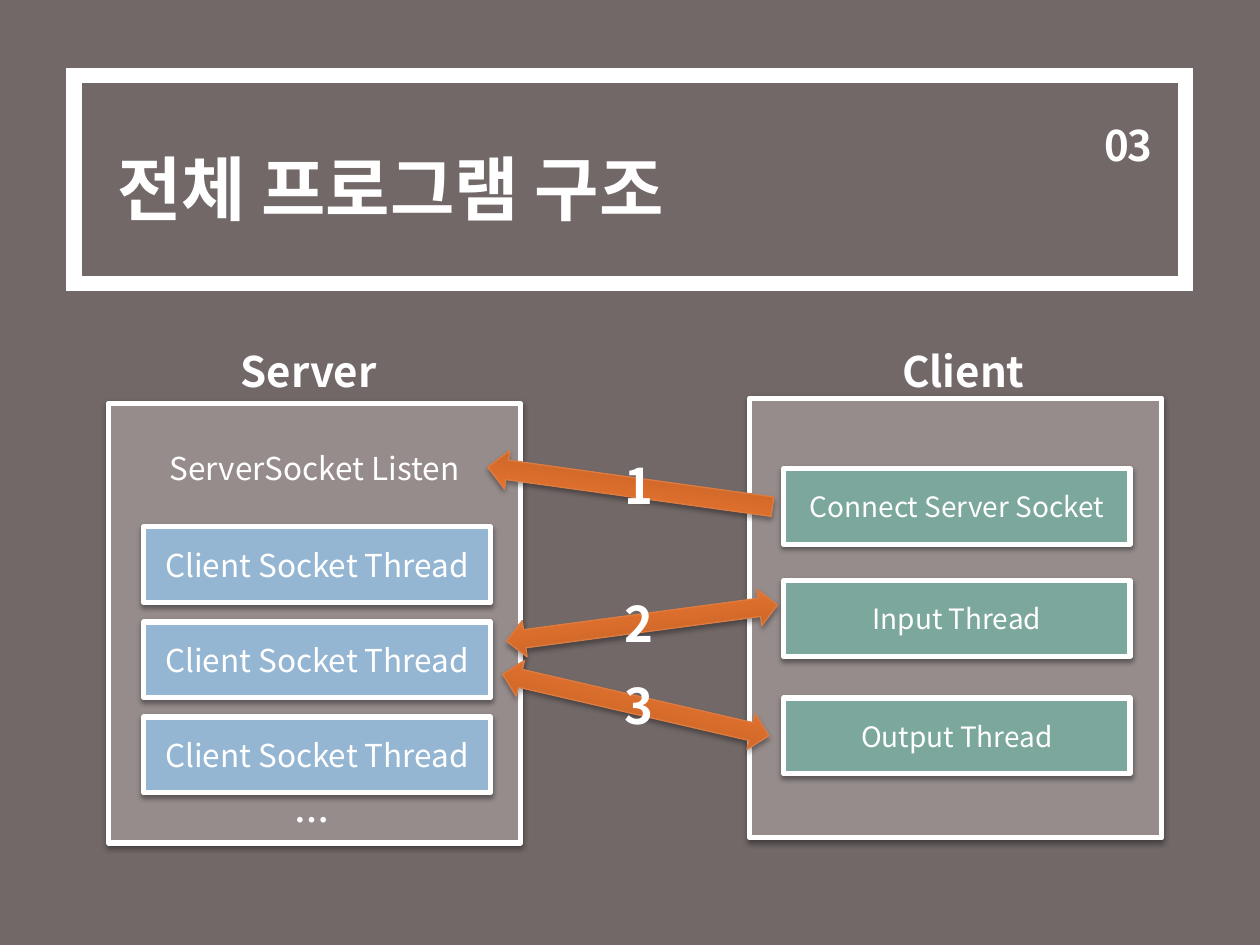
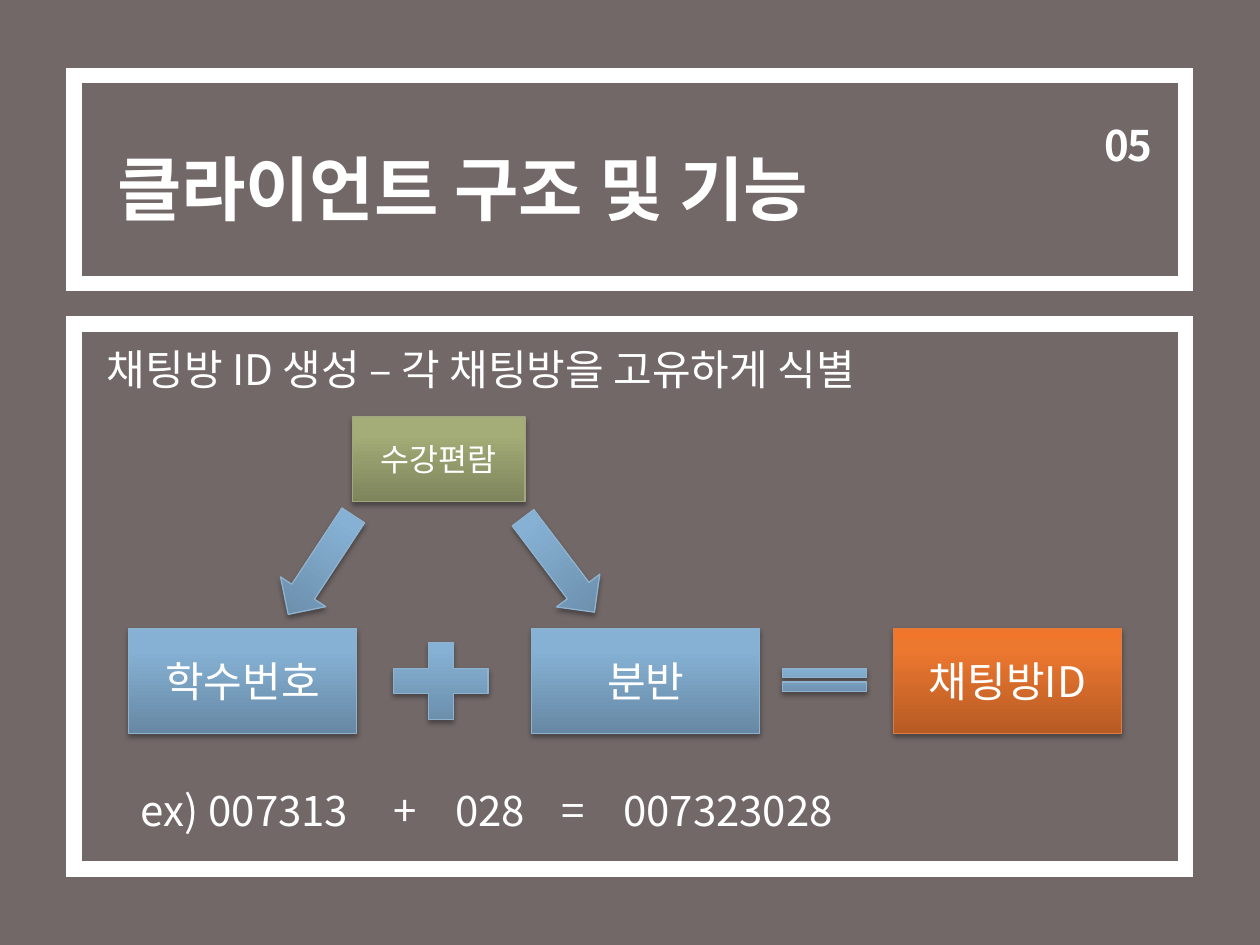
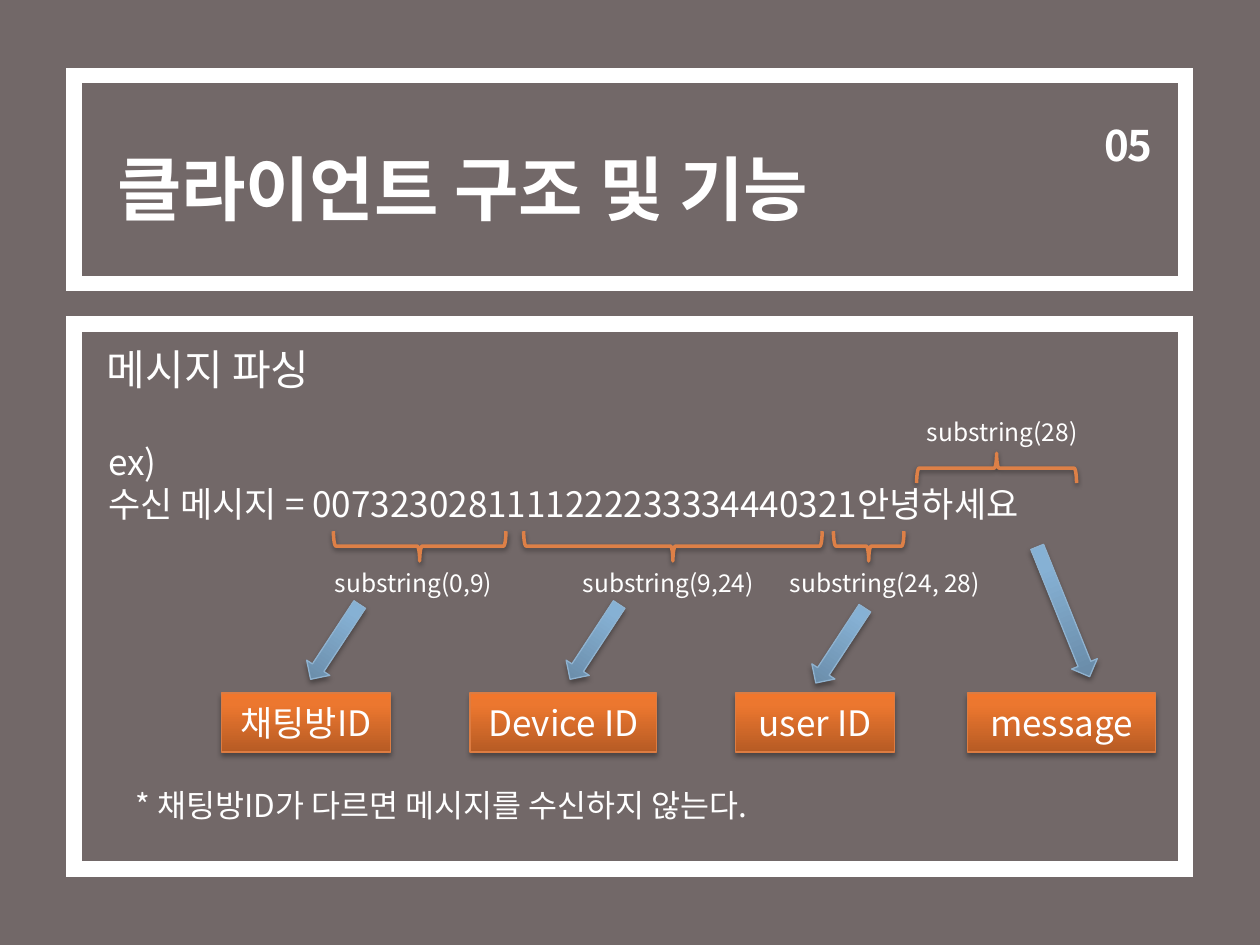
from copy import deepcopy
from dataclasses import dataclass

from pptx import Presentation
from pptx.dml.color import RGBColor as Rgb
from pptx.enum.shapes import MSO_SHAPE as Preset
from pptx.enum.text import MSO_ANCHOR as Anchor, PP_ALIGN as Align
from pptx.oxml.ns import qn
from pptx.oxml.xmlchemy import OxmlElement as new_element
from pptx.util import Pt

FONT = "Noto Sans CJK KR"
COLOURS = {
    "ground": "726868", "white": "FFFFFF", "panel": "968C8C", "black": "000000",
    "server": "94B6D2", "client": "7BA79D", "brace": "DD8047",
}
# Dark foot, light body, top edge, outline
GRADIENTS = {
    "blue": ("6788A4", "86B1D4", "86B2D7", "8FB2CF"),
    "orange": ("B65B24", "EC772F", "F1762C", "DC7C42"),
    "green": ("7E845C", "A4AC77", "A6AE76", "A2A87D"),
}
STOPS = (0, 0.8, 1)


@dataclass
class Box:
    """A rectangle in points."""
    left: float
    top: float
    width: float
    height: float

    def inner(self, left, top, width, height):
        """Return a box whose place is measured from this box's corner."""
        return Box(self.left + left, self.top + top, width, height)

    def lengths(self):
        """Return left, top, width and height as lengths."""
        return [Pt(value) for value in (self.left, self.top, self.width, self.height)]


PAGE = Box(0, 0, 720, 540)
TITLE_BAND = Box(42.5, 43.2, 635, 118.8)
BODY = Box(42.5, 185, 635, 311.8)
SERVER = Box(62, 230.4, 235.4, 251.3)
CLIENT = Box(428.4, 227.5, 235.4, 251.3)


def set_values(target, values):
    """Set each attribute of the target from a dict."""
    for name, value in values.items():
        setattr(target, name, value)


def write(shape, lines, size, bold=False, align=Align.LEFT, anchor=Anchor.TOP):
    """Write one paragraph for each line and return the paragraphs."""
    frame = shape.text_frame
    set_values(frame, {"word_wrap": True, "vertical_anchor": anchor})
    frame.text = lines
    for para in frame.paragraphs:
        para.alignment = align
        for span in para.runs:
            set_values(span.font, {"name": FONT, "size": Pt(size), "bold": bold})
            span.font.color.rgb = Rgb.from_string(COLOURS["white"])
            east_asian = new_element("a:ea")
            east_asian.set("typeface", FONT)
            span.font._element.append(east_asian)
    return frame.paragraphs


def add_text(page, box, lines, size, **style):
    """Add a text box and return its paragraphs."""
    return write(page.shapes.add_textbox(*box.lengths()), lines, size, **style)


def add_shadow(shape, alpha, distance):
    """Give the shape a soft shadow that falls straight down."""
    shadow = new_element("a:outerShdw")
    for name, value in {"blurRad": Pt(3.1), "dist": Pt(distance),
                        "dir": 90 * 60000, "rotWithShape": 0}.items():
        shadow.set(name, str(int(value)))
    colour = new_element("a:srgbClr")
    colour.set("val", COLOURS["black"])
    opacity = new_element("a:alpha")
    opacity.set("val", str(alpha * 1000))
    colour.append(opacity)
    shadow.append(colour)
    shape._element.spPr.find(qn("a:effectLst")).append(shadow)


def add_plain(page, box, fill=None, line=None, weight=0, preset=Preset.RECTANGLE,
              rotation=0, join="a:round"):
    """Add a flat shape without shadow."""
    shape = page.shapes.add_shape(preset, *box.lengths())
    shape.rotation = rotation
    shape.shadow.inherit = False
    if fill:
        shape.fill.solid()
        shape.fill.fore_color.rgb = Rgb.from_string(COLOURS[fill])
    else:
        shape.fill.background()
    if line:
        shape.line.color.rgb = Rgb.from_string(COLOURS[line])
        shape.line.width = Pt(weight)
        corner = new_element(join)
        if join == "a:miter":
            corner.set("lim", "800000")
        shape.line._ln.append(corner)
    else:
        shape.line.fill.background()
    return shape


def add_card(page, box, fill):
    """Add a white-edged card with a shadow."""
    card = add_plain(page, box, fill, "white", 3)
    add_shadow(card, 38, 1.6)
    return card


def add_glossy(page, box, tone, preset=Preset.RECTANGLE, rotation=0):
    """Add a shape with a vertical gradient and a shadow."""
    shape = page.shapes.add_shape(preset, *box.lengths())
    shape.rotation = rotation
    shape.shadow.inherit = False
    *shades, edge = GRADIENTS[tone]
    shape.fill.gradient()
    shape.fill.gradient_angle = 90
    stop_list = shape._element.spPr.find(".//" + qn("a:gsLst"))
    stop_list.insert(1, deepcopy(stop_list[0]))
    for stop, position, shade in zip(shape.fill.gradient_stops, STOPS, shades):
        stop.position = position
        stop.color.rgb = Rgb.from_string(shade)
    shape.line.color.rgb = Rgb.from_string(edge)
    shape.line.width = Pt(0.75)
    add_shadow(shape, 35, 1.8)
    return shape


def label(shape, words, size):
    """Centre words in a shape."""
    write(shape, words, size, align=Align.CENTER, anchor=Anchor.MIDDLE)


def add_frame(page, box):
    """Add a heavy white frame."""
    add_plain(page, box, line="white", weight=9, join="a:miter")


def add_page(deck, title, number):
    """Add a page with its ground, title band and section number."""
    page = deck.slides.add_slide(deck.slide_layouts[6])
    add_plain(page, PAGE, "ground")
    add_frame(page, TITLE_BAND)
    add_text(page, TITLE_BAND.inner(17.3, 5.8, 544, 116), title, 40, bold=True,
             anchor=Anchor.MIDDLE)
    para, = add_text(page, TITLE_BAND.inner(493.2, -5.8, 129.6, 85), number, 24,
                     bold=True, align=Align.RIGHT)
    para.line_spacing = Pt(56)
    para.runs[0].font._element.set("spc", "-150")
    return page


def add_body(page, box, heading):
    """Add the body frame and its heading."""
    add_frame(page, box)
    add_text(page, box.inner(11.5, 8, 611, 36), heading, 24)


def server_panel(page, box):
    """Draw the server with its listener and its threads."""
    panel = add_card(page, box, "panel")
    write(panel, "ServerSocket Listen", 18, align=Align.CENTER)
    panel.text_frame.margin_top = Pt(26.3)
    for row in range(3):
        thread = add_card(page, box.inner(20.2, 70.6 + 54.4 * row, 198, 43.2), "server")
        label(thread, "Client Socket Thread", 18)
    add_text(page, box.inner(99.4, 222.5, 28, 31.7), "…", 20, bold=True)
    add_text(page, box.inner(68.4, -36.7, 102, 36), "Server", 24, bold=True)


def client_panel(page, box):
    """Draw the client with its three blocks."""
    add_card(page, box, "panel")
    add_text(page, box.inner(80, -33.8, 102, 36), "Client", 24, bold=True)
    for top, words in ((40.3, "Connect Server Socket"), (104.4, "Input Thread"),
                       (171.4, "Output Thread")):
        label(add_card(page, box.inner(19.4, top, 198, 43.2), "client"), words, 16)


def numbered_links(page, box):
    """Draw the numbered arrows between server and client."""
    links = (
        (0, 0, 164.2, 22.3, Preset.RIGHT_ARROW, 187.9),
        (10.8, 78.5, 156.2, 20.9, Preset.LEFT_RIGHT_ARROW, 352.4),
        (7.2, 125.3, 156.2, 20.9, Preset.LEFT_RIGHT_ARROW, 13),
    )
    for *place, preset, rotation in links:
        add_glossy(page, box.inner(*place), "orange", preset, rotation)
    for number, link in enumerate(links, 1):
        add_text(page, box.inner(72, link[1] - 10.1, 33.8, 41), str(number), 28, bold=True)


def room_id_diagram(page, box):
    """Show how course number and class make the room ID."""
    for left, words, tone in ((31, "학수번호", "blue"), (261.3, "분반", "blue"),
                              (468, "채팅방ID", "orange")):
        label(add_glossy(page, box.inner(left, 174.3, 130.3, 59.8), tone), words, 24)
    add_glossy(page, box.inner(172.8, 174.3, 73.4, 59.8), "blue", Preset.MATH_PLUS)
    add_glossy(page, box.inner(396, 192.3, 65.5, 22.3), "blue", Preset.MATH_EQUAL)
    label(add_glossy(page, box.inner(159, 53.3, 98.6, 48.2), "green"), "수강편람", 18)
    for left, rotation in ((125.3, 33.3), (261.3, 322.9)):
        add_glossy(page, box.inner(left, 104, 31, 67.7), "blue", Preset.DOWN_ARROW, rotation)
    para, = add_text(page, box.inner(31, 260, 566.6, 36),
                     "ex) 007313\t+\t028\t=\t007323028", 24)
    tabs = new_element("a:tabLst")
    for position in (144.5, 179.5, 240.5, 275.5):
        tab = new_element("a:tab")
        tab.set("pos", str(int(Pt(position))))
        tab.set("algn", "l")
        tabs.append(tab)
    para._p.get_or_add_pPr().append(tabs)


def message_diagram(page, box):
    """Show how a received message is cut into its fields."""
    for left, width, words in ((84.2, 96.5, "채팅방ID"), (226.1, 106.6, "Device ID"),
                               (378, 90.7, "user ID"), (510.5, 107.3, "message")):
        label(add_glossy(page, box.inner(left, 211, width, 33.8), "orange"), words, 20)
    add_text(page, box.inner(12.2, 63.4, 611, 55),
             "ex)\n수신 메시지 = 0073230281111222233334440321안녕하세요", 20)

    # Brace centre, span and turn, then label place and words
    depth = 17
    for middle, height, span, turn, left, top, words in (
            (197.3, 127.1, 98.6, 90, 141.7, 136.1, "substring(0,9)"),
            (342, 127.1, 170.6, 90, 283.4, 136.1, "substring(9,24)"),
            (453.9, 127.1, 40.3, 90, 401.7, 136.1, "substring(24, 28)"),
            (527, 82.5, 91.4, 270, 480, 49.7, "substring(28)")):
        place = box.inner(middle - depth / 2, height - span / 2, depth, span)
        brace = add_plain(page, place, line="brace", weight=2,
                          preset=Preset.RIGHT_BRACE, rotation=turn)
        add_shadow(brace, 38, 1.6)
        add_text(page, box.inner(left, top, 128, 24.5), words, 14)

    for left, top, height, rotation in ((141.1, 156.3, 51.1, 33.3), (289.4, 156.3, 51.1, 33.3),
                                        (429.8, 158.4, 51.1, 33.3), (557.3, 124.6, 80, 338)):
        add_glossy(page, box.inner(left, top, 15.8, height), "blue", Preset.DOWN_ARROW, rotation)
    add_text(page, box.inner(28, 260.7, 449, 28.8),
             "* 채팅방ID가 다르면 메시지를 수신하지 않는다.", 18)


def main():
    """Build the deck."""
    deck = Presentation()
    set_values(deck, {"slide_width": Pt(PAGE.width), "slide_height": Pt(PAGE.height)})

    page = add_page(deck, "전체 프로그램 구조", "03")
    server_panel(page, SERVER)
    client_panel(page, CLIENT)
    numbered_links(page, Box(278, 267.1, 167, 146))

    for heading, draw in (("채팅방 ID 생성 – 각 채팅방을 고유하게 식별", room_id_diagram),
                          ("메시지 파싱", message_diagram)):
        page = add_page(deck, "클라이언트 구조 및 기능", "05")
        add_body(page, BODY, heading)
        draw(page, BODY)

    deck.save("out.pptx")


main()
